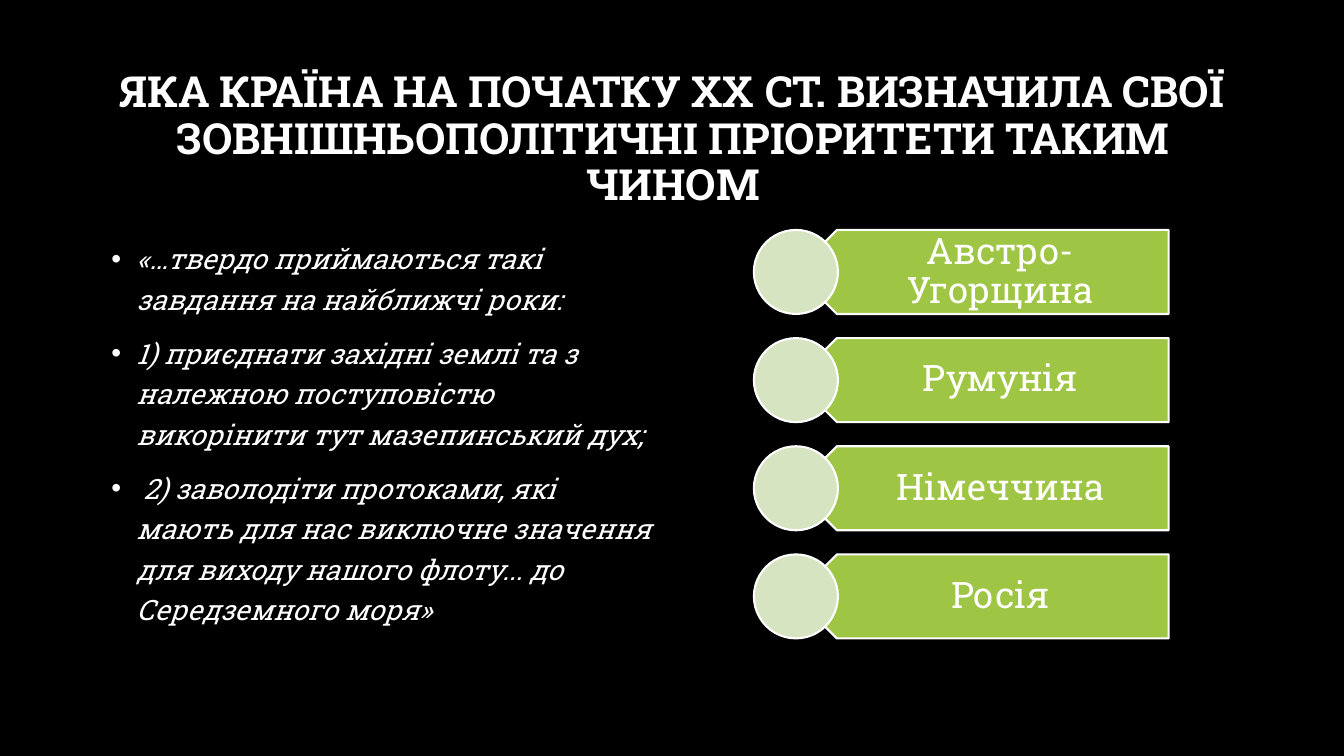
"""Build a quiz slide with a quotation and four answer tiles."""
from dataclasses import dataclass

from lxml import etree
from pptx import Presentation
from pptx.dml.color import RGBColor
from pptx.enum.shapes import MSO_SHAPE
from pptx.enum.text import MSO_ANCHOR, PP_ALIGN
from pptx.oxml.ns import qn
from pptx.util import Emu, Pt

EMU_PER_PX = 9525
CENTER, LEFT = PP_ALIGN.CENTER, PP_ALIGN.LEFT
MIDDLE, TOP = MSO_ANCHOR.MIDDLE, MSO_ANCHOR.TOP
PENTAGON, ELLIPSE = MSO_SHAPE.PENTAGON, MSO_SHAPE.OVAL

FONT = "Roboto Slab"
BLACK, WHITE, GREEN, PALE_GREEN = "000000", "FFFFFF", "9EC544", "D6E4C1"

TITLE = "ЯКА КРАЇНА НА ПОЧАТКУ XX СТ. ВИЗНАЧИЛА СВОЇ ЗОВНІШНЬОПОЛІТИЧНІ ПРІОРИТЕТИ ТАКИМ ЧИНОМ"
QUOTATION = [
    "«…твердо приймаються такі завдання на найближчі роки:",
    "1) приєднати західні землі та з належною поступовістю викорінити тут мазепинський дух;",
    " 2) заволодіти протоками, які мають для нас виключне значення для виходу нашого флоту... до Середземного моря»",
]
COUNTRIES = ["Австро-Угорщина", "Румунія", "Німеччина", "Росія"]
ANSWERS_TOP, ANSWER_PITCH, ANSWER_HEIGHT = 219, 103, 80
BULLET_INDENT = 24


@dataclass(frozen=True)
class Area:
    """A rectangle on the slide in px."""
    left: int
    top: int
    width: int
    height: int

    def emu(self) -> list[Emu]:
        """Return left, top, width and height in EMU."""
        return [px(value) for value in (self.left, self.top, self.width, self.height)]


@dataclass(frozen=True)
class Answer:
    """One answer tile: its country and its top edge."""
    country: str
    top: int


def px(value: int) -> Emu:
    """Turn px into EMU."""
    return Emu(value * EMU_PER_PX)


def color(value: str) -> RGBColor:
    """Turn a hex string into a colour."""
    return RGBColor.from_string(value)


def add_bullet(para) -> None:
    """Give a paragraph a hanging round bullet."""
    properties = para._p.get_or_add_pPr()
    properties.set("marL", str(px(BULLET_INDENT)))
    properties.set("indent", str(px(-BULLET_INDENT)))
    etree.SubElement(properties, qn("a:buFont")).set("typeface", "Arial")
    etree.SubElement(properties, qn("a:buChar")).set("char", "•")


def add_text(page, area: Area, texts: list[str], *, size: float, bold: bool = False,
             italic: bool = False, align=CENTER, anchor=MIDDLE, spacing: float = 0.9,
             gap: int = 0, bullets: bool = False,
             insets: tuple[int, int, int, int] = (10, 5, 10, 5)) -> None:
    """Add a text box with one paragraph for each text."""
    frame = page.shapes.add_textbox(*area.emu()).text_frame
    frame.word_wrap = True
    frame.vertical_anchor = anchor
    (frame.margin_left, frame.margin_top,
     frame.margin_right, frame.margin_bottom) = map(px, insets)
    for index, text in enumerate(texts):
        para = frame.add_paragraph() if index else frame.paragraphs[0]
        if bullets:
            add_bullet(para)
        para.alignment = align
        para.line_spacing = spacing
        if index:
            para.space_before = Pt(gap)
        span = para.add_run()
        span.text = text
        span.font.name = FONT
        span.font.size = Pt(size)
        span.font.bold = bold
        span.font.italic = italic
        span.font.color.rgb = color(WHITE)


def add_block(page, kind, area: Area, fill: str, rotation: int = 0) -> None:
    """Add a filled shape with a white outline."""
    block = page.shapes.add_shape(kind, *area.emu())
    block.shadow.inherit = False
    block.rotation = rotation
    block.fill.solid()
    block.fill.fore_color.rgb = color(fill)
    block.line.color.rgb = color(WHITE)
    block.line.width = Pt(1.5)


def add_answer(page, answer: Answer) -> None:
    """Draw one answer tile with its label and circle."""
    add_block(page, PENTAGON, Area(757, answer.top, 356, ANSWER_HEIGHT), GREEN, 180)
    add_text(page, Area(777, answer.top, 336, ANSWER_HEIGHT), [answer.country],
             size=26, insets=(35, 10, 19, 10))
    add_block(page, ELLIPSE, Area(718, answer.top, ANSWER_HEIGHT, ANSWER_HEIGHT), PALE_GREEN)


def main() -> None:
    """Build and save the deck."""
    deck = Presentation()
    deck.slide_width, deck.slide_height = px(1280), px(720)
    page = deck.slides.add_slide(deck.slide_layouts[6])
    page.background.fill.solid()
    page.background.fill.fore_color.rgb = color(BLACK)

    add_text(page, Area(96, 64, 1087, 139), [TITLE], size=30.6, bold=True)
    add_text(page, Area(96, 219, 536, 389), QUOTATION, size=20, italic=True, align=LEFT,
             anchor=TOP, spacing=1.2, gap=10, bullets=True)
    for index, country in enumerate(COUNTRIES):
        add_answer(page, Answer(country, ANSWERS_TOP + index * ANSWER_PITCH))

    deck.save("out.pptx")


if __name__ == "__main__":
    main()
